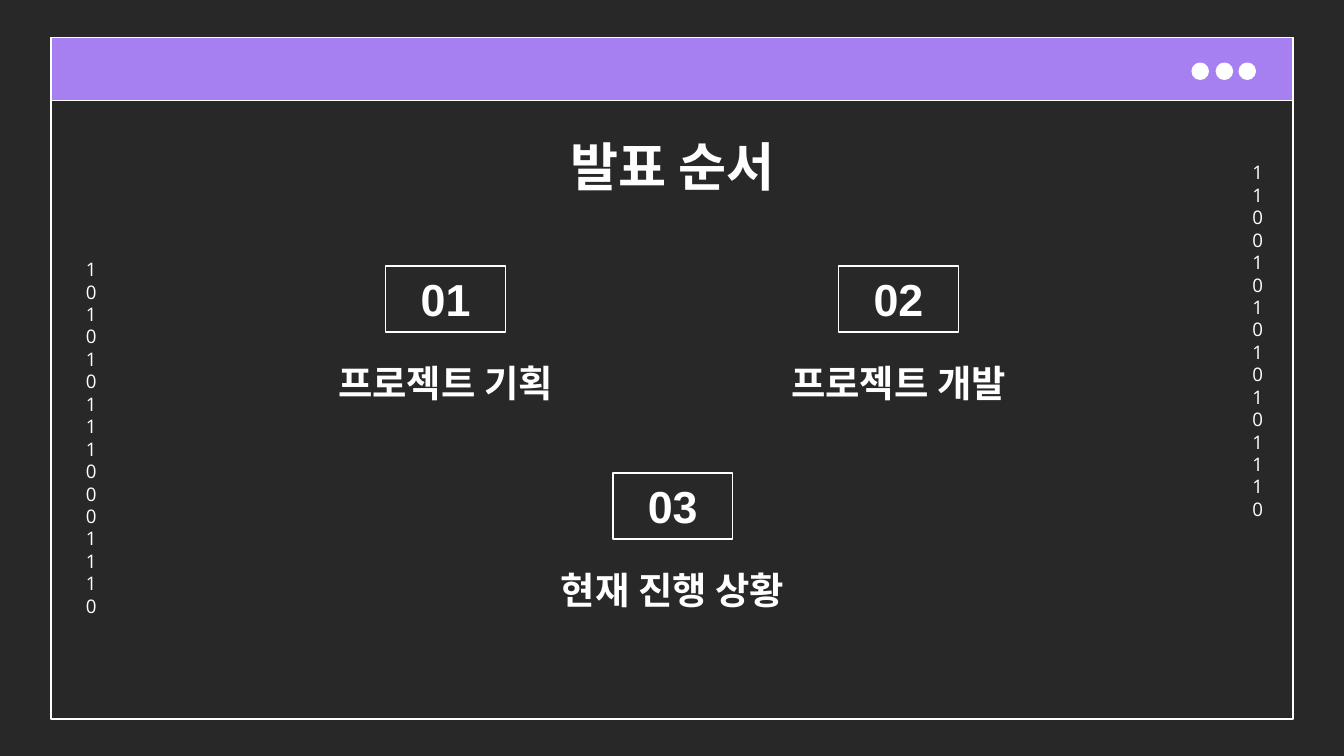
import pptx
import pptx.util
import pptx.dml.color
import pptx.enum.shapes
import pptx.enum.text

Inches = pptx.util.Inches
Pt = pptx.util.Pt
RGBColor = pptx.dml.color.RGBColor
MSO_SHAPE = pptx.enum.shapes.MSO_SHAPE
MSO_ANCHOR = pptx.enum.text.MSO_ANCHOR
PP_ALIGN = pptx.enum.text.PP_ALIGN

DARK = RGBColor(0x29, 0x28, 0x28)
PURPLE = RGBColor(0xA6, 0x7F, 0xF1)
WHITE = RGBColor(0xFF, 0xFF, 0xFF)

AGENDA = [
    ("01", "프로젝트 기획", 2.87, 1.98),
    ("02", "프로젝트 개발", 6.24, 1.98),
    ("03", "현재 진행 상황", 4.56, 3.52),
]
DIGITS = [
    ("1100101010101110", 9.22, 1.1),
    ("101010111000111\n0", 0.54, 1.82),
]


def set_text(sp, text, size, font, bold=False, anchor=MSO_ANCHOR.TOP):
    tf = sp.text_frame
    tf.text = text
    tf.word_wrap = True
    tf.vertical_anchor = anchor
    tf.margin_left = tf.margin_right = Inches(0.1)
    tf.margin_top = tf.margin_bottom = Inches(0.1)
    for p in tf.paragraphs:
        p.alignment = PP_ALIGN.CENTER
        for r in p.runs:
            r.font.size = Pt(size)
            r.font.name = font
            r.font.bold = bold
            r.font.color.rgb = WHITE


def add_text(s, text, x, y, w, h, size, font, bold=False):
    sp = s.shapes.add_textbox(Inches(x), Inches(y), Inches(w), Inches(h))
    set_text(sp, text, size, font, bold)


def add_outlined(s, kind, x, y, w, h, fill=None):
    sp = s.shapes.add_shape(kind, Inches(x), Inches(y), Inches(w), Inches(h))
    sp.shadow.inherit = False
    if fill is None:
        sp.fill.background()
    else:
        sp.fill.solid()
        sp.fill.fore_color.rgb = fill
    sp.line.color.rgb = WHITE
    sp.line.width = Pt(0.75)
    return sp


def add_window(s):
    add_outlined(s, MSO_SHAPE.RECTANGLE, 0.38, 0.28, 9.24, 5.07)
    add_outlined(s, MSO_SHAPE.RECTANGLE, 0.38, 0.28, 9.24, 0.47, PURPLE)
    for x in (8.87, 9.05, 9.22):
        add_outlined(s, MSO_SHAPE.OVAL, x, 0.47, 0.12, 0.12, WHITE)


def add_agenda_item(s, number, label, x, y):
    sp = add_outlined(s, MSO_SHAPE.RECTANGLE, x, y, 0.89, 0.49)
    set_text(sp, number, 24, "Arial", True, MSO_ANCHOR.MIDDLE)
    add_text(s, label, x - 0.95, y + 0.6, 2.79, 0.56, 20, "Lato", True)


def main():
    prs = pptx.Presentation()
    prs.slide_width = Inches(10)
    prs.slide_height = prs.slide_width * 9 // 16
    s = prs.slides.add_slide(prs.slide_layouts[6])
    s.background.fill.solid()
    s.background.fill.fore_color.rgb = DARK

    add_window(s)
    for digits, x, y in DIGITS:
        add_text(s, digits, x, y, 0.24, 2.8, 10, "Open Sans")
    add_text(s, "발표 순서", 0.79, 0.9, 8.43, 0.63, 28, "Lato", True)
    for item in AGENDA:
        add_agenda_item(s, *item)
    prs.save("out.pptx")


if __name__ == "__main__":
    main()
